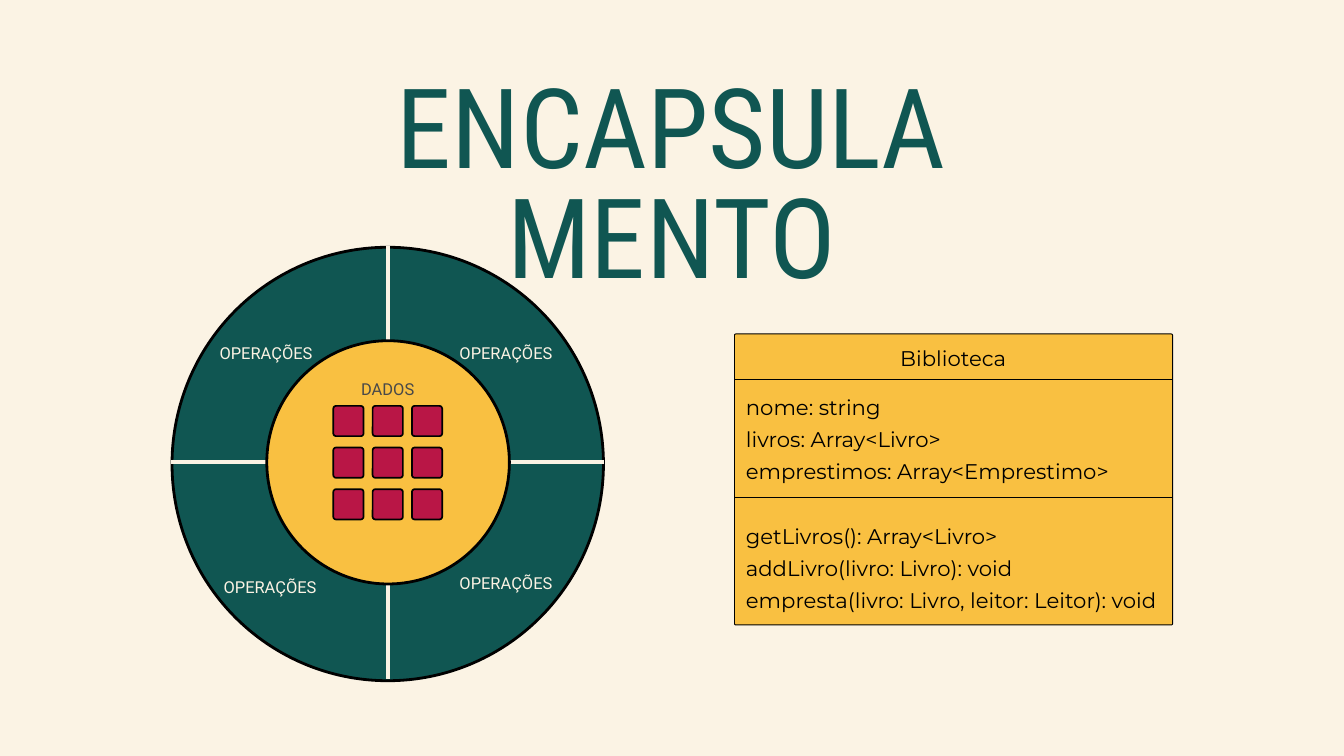
import pptx
import pptx.dml.color
import pptx.enum.shapes
import pptx.enum.text
import pptx.oxml.ns
import pptx.util
import lxml.etree

Inches = pptx.util.Inches
Pt = pptx.util.Pt
RGBColor = pptx.dml.color.RGBColor
SHAPE = pptx.enum.shapes.MSO_SHAPE
ALIGN = pptx.enum.text.PP_ALIGN

CREAM = RGBColor(0xFB, 0xF3, 0xE4)
GREEN = RGBColor(0x10, 0x56, 0x52)
YELLOW = RGBColor(0xF9, 0xC0, 0x41)
CRIMSON = RGBColor(0xB9, 0x16, 0x46)
GREY = RGBColor(0x49, 0x49, 0x49)
BLACK = RGBColor(0, 0, 0)


def add_text(s, text, x, y, w, h, *, size, font, color, spacing, align=ALIGN.CENTER):
    tf = s.shapes.add_textbox(Inches(x), Inches(y), Inches(w), Inches(h)).text_frame
    tf.margin_left = tf.margin_right = tf.margin_top = tf.margin_bottom = 0
    tf.word_wrap = True
    tf.auto_size = pptx.enum.text.MSO_AUTO_SIZE.SHAPE_TO_FIT_TEXT
    for i, line in enumerate(text.split("\n")):
        p = tf.paragraphs[0] if i == 0 else tf.add_paragraph()
        p.alignment = align
        p.line_spacing = Pt(spacing)
        r = p.add_run()
        r.text = line
        r.font.size = Pt(size)
        r.font.name = font
        r.font.color.rgb = color


def add_box(s, kind, x, y, w, h, fill, line_width, radius=None):
    sp = s.shapes.add_shape(kind, Inches(x), Inches(y), Inches(w), Inches(h))
    sp.shadow.inherit = False
    sp.fill.solid()
    sp.fill.fore_color.rgb = fill
    sp.line.color.rgb = BLACK
    sp.line.width = Pt(line_width)
    if radius is not None:
        sp.adjustments[0] = radius / min(w, h)


def add_line(s, x1, y1, x2, y2, color, width):
    line = s.shapes.add_connector(
        pptx.enum.shapes.MSO_CONNECTOR.STRAIGHT,
        Inches(x1), Inches(y1), Inches(x2), Inches(y2))
    line.line.color.rgb = color
    line.line.width = Pt(width)
    lxml.etree.SubElement(line._element.spPr, pptx.oxml.ns.qn("a:effectLst"))


def add_label(s, text, x, y, color):
    add_text(s, text, x, y, 2.34, 0.34, size=17.6, font="Roboto", color=color, spacing=26.4)


def add_capsule(s):
    add_box(s, SHAPE.OVAL, 2.56, 3.68, 6.42, 6.45, GREEN, 3)
    add_line(s, 5.77, 3.66, 5.77, 10.1, CREAM, 4)
    add_line(s, 8.99, 6.88, 2.55, 6.88, CREAM, 4)
    add_box(s, SHAPE.OVAL, 3.97, 5.07, 3.61, 3.62, YELLOW, 3)
    add_label(s, "DADOS", 4.6, 5.57, GREY)
    for row in range(3):
        for col in range(3):
            add_box(s, SHAPE.ROUNDED_RECTANGLE, 4.96 + col * 0.585, 6.04 + row * 0.62,
                    0.45, 0.45, CRIMSON, 1.8, radius=0.04)
    for x, y in ((6.36, 5.03), (6.36, 8.46), (2.79, 5.03), (2.85, 8.51)):
        add_label(s, "OPERAÇÕES", x, y, CREAM)


def add_class_diagram(s):
    left, width = 10.93, 6.52
    add_box(s, SHAPE.ROUNDED_RECTANGLE, left, 4.97, width, 4.33, YELLOW, 1, radius=0.02)
    for y in (5.64, 7.4):
        add_line(s, left, y, left + width, y, BLACK, 1)
    style = dict(size=22.7, font="Montserrat", color=BLACK, spacing=34.1)
    add_text(s, "Biblioteca", 11.16, 5.05, 6.05, 0.44, **style)
    add_text(s, "nome: string\nlivros: Array<Livro>\nemprestimos: Array<Emprestimo>",
             11.1, 5.78, 5.7, 1.37, align=ALIGN.JUSTIFY, **style)
    add_text(s, "getLivros(): Array<Livro>\naddLivro(livro: Livro): void\n"
             "empresta(livro: Livro, leitor: Leitor): void",
             11.1, 7.69, 6.35, 1.37, align=ALIGN.JUSTIFY, **style)


def main():
    prs = pptx.Presentation()
    prs.slide_width = Inches(20)
    prs.slide_height = Inches(11.25)
    s = prs.slides.add_slide(prs.slide_layouts[6])
    s.background.fill.solid()
    s.background.fill.fore_color.rgb = CREAM
    add_text(s, "ENCAPSULAMENTO", 5.33, 1.18, 9.33, 1.75, size=118.8,
             font="Roboto Condensed", color=GREEN, spacing=118.8)
    add_capsule(s)
    add_class_diagram(s)
    prs.save("out.pptx")


if __name__ == "__main__":
    main()
